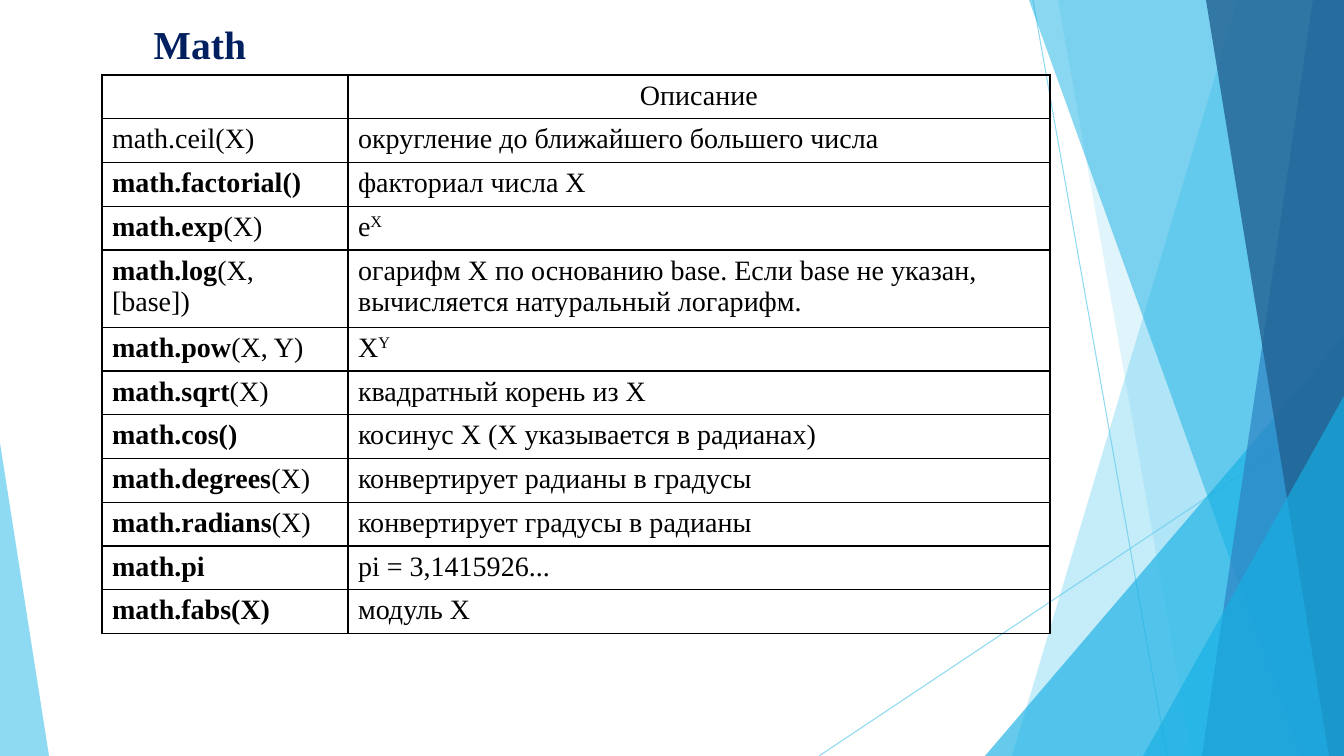
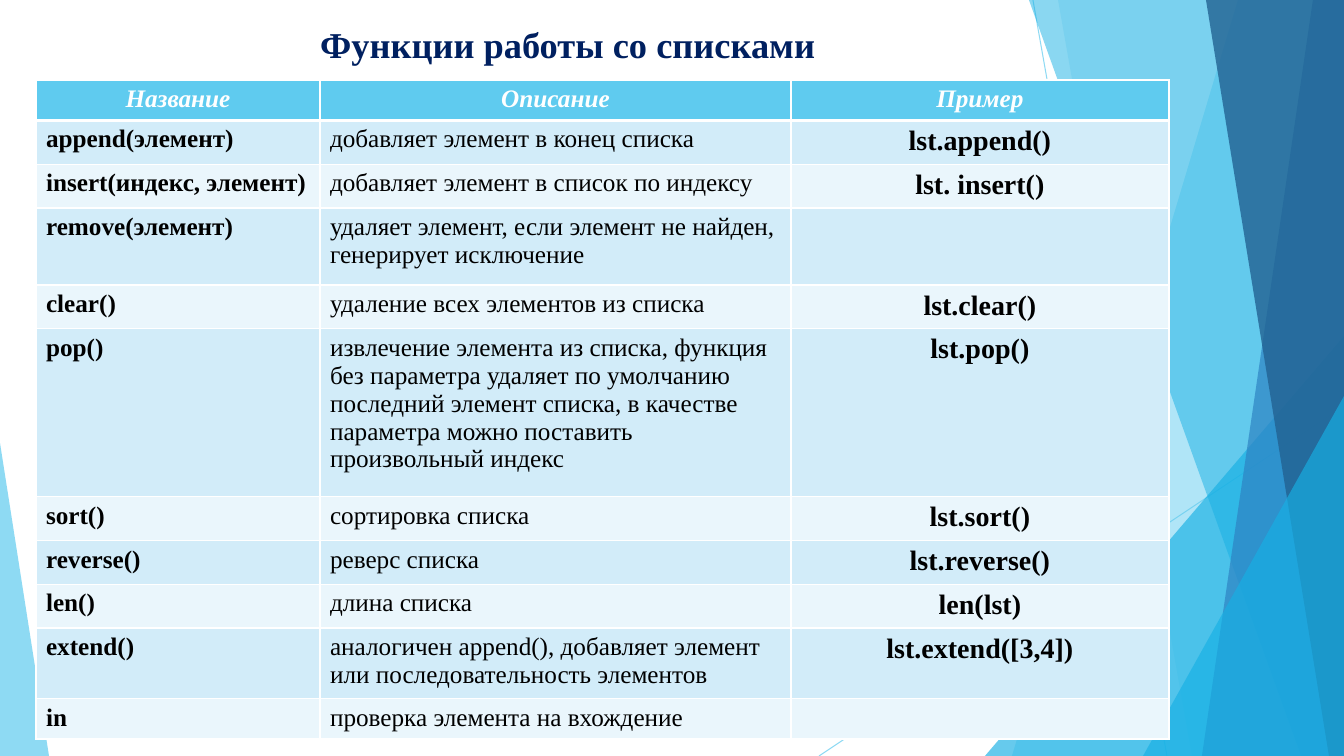
from lxml import etree
from pptx import Presentation, util as u
from pptx.dml.color import RGBColor
from pptx.enum import shapes, text
from pptx.oxml.ns import qn

EMU_PER_PX = 914400 / 100.8
WIDTH, HEIGHT = 1344, 756
FONT = "Times New Roman"

BLACK = RGBColor(0x00, 0x00, 0x00)
WHITE = RGBColor(0xFF, 0xFF, 0xFF)
NAVY = RGBColor(0x00, 0x20, 0x60)
SKY = RGBColor(0x5F, 0xCB, 0xEF)
CYAN = RGBColor(0x17, 0xB0, 0xE4)
BLUE = RGBColor(0x2E, 0x83, 0xC3)
DEEP_BLUE = RGBColor(0x22, 0x62, 0x92)
PALE = RGBColor(0xD2, 0xEC, 0xF9)
PALER = RGBColor(0xEA, 0xF6, 0xFC)

# A bar ends the bold part of a cell, a caret starts a superscript.
MATH_ROWS = [
    ("", "Описание"),
    ("math.ceil(X)", "округление до ближайшего большего числа"),
    ("math.factorial()|", "факториал числа X"),
    ("math.exp|(X)", "e^X"),
    ("math.log|(X, [base])", "огарифм X по основанию base. Если base не указан, "
                             "вычисляется натуральный логарифм."),
    ("math.pow|(X, Y)", "X^Y"),
    ("math.sqrt|(X)", "квадратный корень из X"),
    ("math.cos()|", "косинус X (X указывается в радианах)"),
    ("math.degrees|(X)", "конвертирует радианы в градусы"),
    ("math.radians|(X)", "конвертирует градусы в радианы"),
    ("math.pi|", "pi = 3,1415926..."),
    ("math.fabs(X)|", "модуль X"),
]
MATH_HEIGHTS = [73 if name.startswith("math.log") else 41 for name, _ in MATH_ROWS]

LIST_ROWS = [
    ("Название", "Описание", "Пример"),
    ("append(элемент)", "добавляет элемент в конец списка", "lst.append()"),
    ("insert(индекс, элемент)", "добавляет элемент в список по индексу", "lst. insert()"),
    ("remove(элемент)", "удаляет элемент, если элемент не найден, генерирует исключение", ""),
    ("clear()", "удаление всех элементов из списка", "lst.clear()"),
    ("pop()", "извлечение элемента из списка, функция без параметра удаляет по умолчанию "
              "последний элемент списка, в качестве параметра можно поставить "
              "произвольный индекс", "lst.pop()"),
    ("sort()", "сортировка списка", "lst.sort()"),
    ("reverse()", "реверс списка", "lst.reverse()"),
    ("len()", "длина списка", "len(lst)"),
    ("extend()", "аналогичен append(), добавляет элемент или последовательность элементов",
     "lst.extend([3,4])"),
    ("in", "проверка элемента на вхождение", ""),
]
LIST_HEIGHTS = [37, 44, 42, 77, 43, 168, 41, 41, 43, 66, 39]


def px(value):
    return u.Emu(round(value * EMU_PER_PX))


def set_alpha(fill_parent, percent):
    color = next(fill_parent.iter(qn("a:srgbClr")))
    etree.SubElement(color, qn("a:alpha")).set("val", str(percent * 1000))


def paint(shape, color, percent):
    shape.shadow.inherit = False
    shape.fill.solid()
    shape.fill.fore_color.rgb = color
    shape.line.fill.background()
    set_alpha(shape._element.spPr, percent)


def add_band(page, top_x, bottom_x, color, percent):
    """Fill from a slanted left side to the right edge of the page."""
    outline = page.shapes.build_freeform(top_x, 0, EMU_PER_PX)
    outline.add_line_segments([(WIDTH, 0), (WIDTH, HEIGHT), (bottom_x, HEIGHT)])
    paint(outline.convert_to_shape(), color, percent)


def add_triangle(page, left, top, width, apex, color, percent):
    """Stand a triangle on the bottom edge; apex runs from 0 (left) to 1 (right)."""
    triangle = page.shapes.add_shape(shapes.MSO_SHAPE.ISOSCELES_TRIANGLE, px(left), px(top),
                                     px(width), px(HEIGHT - top))
    triangle.adjustments[0] = apex
    paint(triangle, color, percent)


def add_thin_line(page, *ends):
    line = page.shapes.add_connector(shapes.MSO_CONNECTOR.STRAIGHT, *map(px, ends))
    line.line.color.rgb = SKY
    line.line.width = u.Pt(0.75)
    properties = line._element.spPr
    set_alpha(properties, 70)
    etree.SubElement(properties, qn("a:effectLst"))


def add_backdrop(page):
    add_thin_line(page, 1033, 0, 1167, HEIGHT)
    add_thin_line(page, WIDTH, 406, 819, HEIGHT)
    add_band(page, 1238, 1012, SKY, 36)
    add_band(page, 1058, 1192, SKY, 20)
    add_triangle(page, 985, 336, 359, 1, CYAN, 66)
    add_band(page, 1029, 1301, CYAN, 50)
    add_band(page, 1313, 1202, BLUE, 70)
    add_band(page, 1206, 1329, DEEP_BLUE, 80)
    add_triangle(page, 1143, 396, 201, 1, CYAN, 66)
    add_triangle(page, 0, 443, 49, 0, SKY, 70)


def style_paragraph(para, size, color, bold=False, italic=False, centered=False):
    """Style a paragraph with its text; runs and end mark carry the font for row heights."""
    font = para.font
    font.bold, font.italic = bold, italic
    font.color.rgb = color
    for item in (font, *(span.font for span in para.runs)):
        item.name, item.size = FONT, u.Pt(size)
    para.alignment = text.PP_ALIGN.CENTER if centered else text.PP_ALIGN.LEFT
    end_mark = etree.SubElement(para._p, qn("a:endParaRPr"))
    end_mark.set("sz", str(round(size * 100)))
    etree.SubElement(end_mark, qn("a:latin")).set("typeface", FONT)


def add_title(page, title, left, top, width, height, size):
    box = page.shapes.add_textbox(px(left), px(top), px(width), px(height))
    frame = box.text_frame
    frame.word_wrap = True
    frame.vertical_anchor = text.MSO_ANCHOR.MIDDLE
    para = frame.paragraphs[0]
    para.text = title
    style_paragraph(para, size, NAVY, bold=True, centered=True)


def add_page(deck, title, left, top, width, height, size):
    page = deck.slides.add_slide(deck.slide_layouts[6])
    add_backdrop(page)
    add_title(page, title, left, top, width, height, size)
    return page


def add_grid(page, left, top, widths, heights):
    frame = page.shapes.add_table(len(heights), len(widths), px(left), px(top),
                                  px(sum(widths)), px(sum(heights)))
    table = frame.table
    table.first_row = table.horz_banding = False
    for column, width in zip(table.columns, widths):
        column.width = px(width)
    for row, height in zip(table.rows, heights):
        row.height = px(height)
    return table


def set_borders(cell, color, top=1, bottom=1):
    """Draw all four sides; top and bottom are widths in points."""
    properties = cell._tc.get_or_add_tcPr()
    sides = [("a:lnL", 1), ("a:lnR", 1), ("a:lnT", top), ("a:lnB", bottom)]
    for position, (side, width) in enumerate(sides):
        line = etree.Element(qn(side))
        line.set("w", str(u.Pt(width)))
        fill = etree.SubElement(line, qn("a:solidFill"))
        etree.SubElement(fill, qn("a:srgbClr")).set("val", str(color))
        properties.insert(position, line)


def add_marked_text(para, marked):
    bold, bar, rest = marked.rpartition("|")
    plain, caret, raised = rest.partition("^")
    for words in filter(None, (bold, plain, raised)):
        span = para.add_run()
        span.text = words
        if bar and words == bold:
            span.font.bold = True
        if caret and words == raised:
            span._r.get_or_add_rPr().set("baseline", "30000")


def add_math_table(page):
    table = add_grid(page, 102, 75, [246, 702], MATH_HEIGHTS)
    for r, row in enumerate(MATH_ROWS):
        for c, marked in enumerate(row):
            cell = table.cell(r, c)
            cell.fill.background()
            set_borders(cell, BLACK)
            para = cell.text_frame.paragraphs[0]
            add_marked_text(para, marked)
            style_paragraph(para, 20, BLACK, centered=r == 0)


def add_list_table(page):
    table = add_grid(page, 36, 80, [284, 471, 378], LIST_HEIGHTS)
    for r, row in enumerate(LIST_ROWS):
        header = r == 0
        for c, words in enumerate(row):
            cell = table.cell(r, c)
            cell.fill.solid()
            cell.fill.fore_color.rgb = SKY if header else PALE if r % 2 else PALER
            set_borders(cell, WHITE, top=3 if r == 1 else 1, bottom=3 if header else 1)
            para = cell.text_frame.paragraphs[0]
            para.text = words
            example = c == 2
            style_paragraph(para, 20 if example and words and not header else 18,
                            WHITE if header else BLACK, bold=header or c != 1,
                            italic=header, centered=header or example)


def main():
    deck = Presentation()
    deck.slide_width, deck.slide_height = px(WIDTH), px(HEIGHT)
    add_math_table(add_page(deck, "Math", 19, 14, 362, 59, 28.3))
    add_list_table(add_page(deck, "Функции работы со списками", 94, 15, 948, 58, 26))
    deck.save("out.pptx")


if __name__ == "__main__":
    main()
